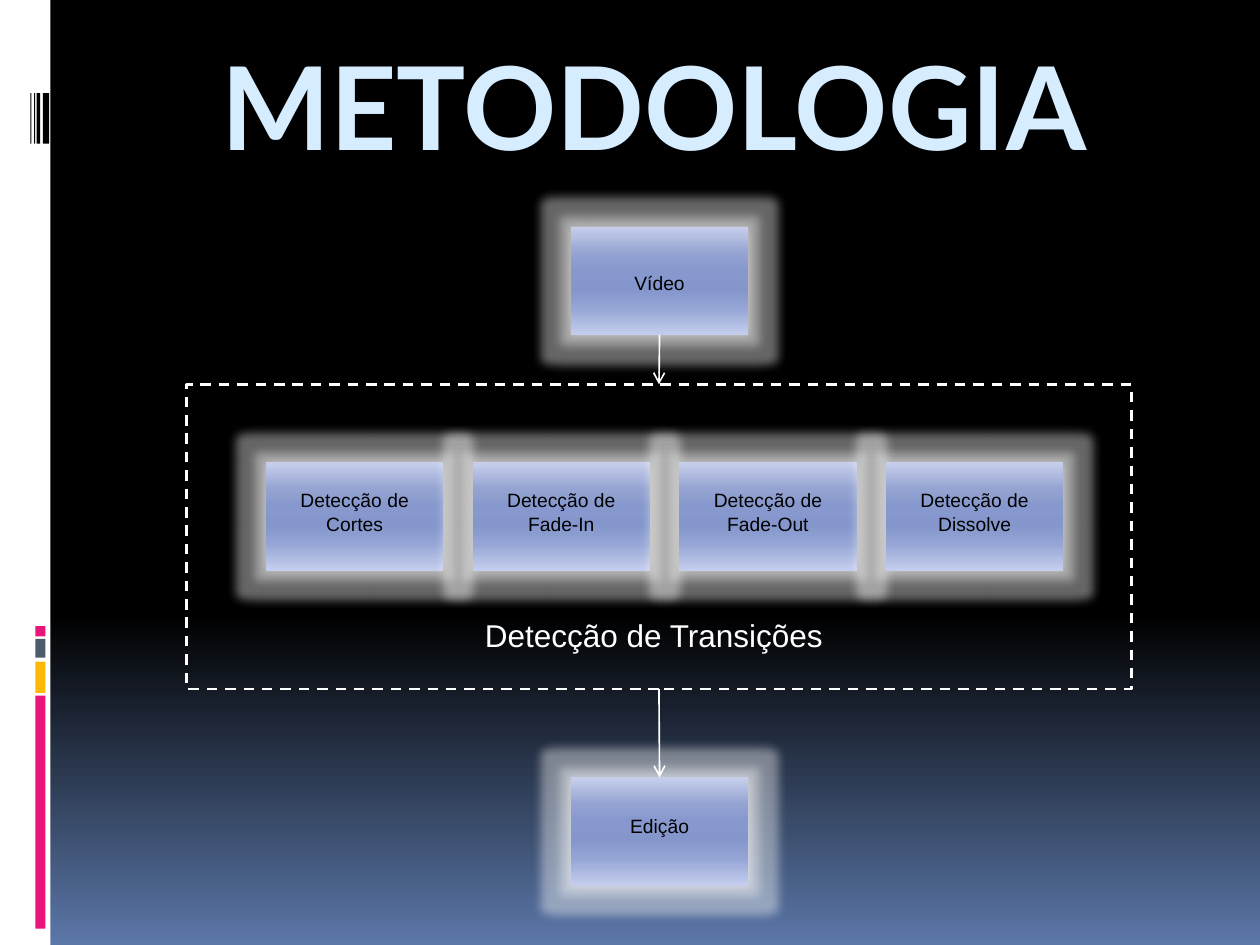
from pptx import Presentation
from pptx.dml.color import RGBColor
from pptx.enum.dml import MSO_LINE
from pptx.enum.shapes import MSO_CONNECTOR, MSO_SHAPE
from pptx.enum.text import MSO_ANCHOR, PP_ALIGN
from pptx.oxml import parse_xml
from pptx.oxml.ns import nsdecls, qn
from pptx.util import Inches, Pt

RECT = MSO_SHAPE.RECTANGLE
LINE = MSO_CONNECTOR.STRAIGHT
CENTER = PP_ALIGN.CENTER
TOP = MSO_ANCHOR.TOP
DASH = MSO_LINE.DASH

SKY = [(0, "000000"), (65, "000000"), (100, "5B77A8")]
BLUE = [(0, "C7CFEC"), (25, "94A3D1"), (40, "8698CD"), (50, "8496CC"),
        (60, "8698CD"), (75, "95A5D5"), (100, "C5CEED")]
DECOR = [
    (0, 0, 0.4, 7.5, "FFFFFF"),
    (0.28, 5.52, 0.08, 1.85, "EA157A"),
    (0.28, 5.25, 0.08, 0.25, "FEB80A"),
    (0.28, 5.07, 0.08, 0.15, "4E5B6F"),
    (0.28, 4.97, 0.08, 0.08, "EA157A"),
    (0.34, 0.74, 0.05, 0.4, "000000"),
    (0.29, 0.74, 0.03, 0.4, "000000"),
    (0.27, 0.74, 0.01, 0.4, "000000"),
    (0.24, 0.74, 0.01, 0.4, "000000"),
]
STEPS = ["Cortes", "Fade-In", "Fade-Out", "Dissolve"]
BOX_W, BOX_H = 1.41, 0.86
MID_X = 4.53
ROW_X, ROW_Y, PITCH = 2.11, 3.67, 1.64


def color(code):
    return RGBColor.from_string(code)


def blend(fill, root, stops):
    fill.gradient()
    fill.gradient_angle = 270
    marks = "".join(f'<a:gs pos="{pos * 1000}"><a:srgbClr val="{code}"/></a:gs>'
                    for pos, code in stops)
    old = root.find(".//" + qn("a:gsLst"))
    old.getparent().replace(
        old, parse_xml(f'<a:gsLst {nsdecls("a")}>{marks}</a:gsLst>'))


def write(shape, text, size, font="Arial", code="000000", bold=False):
    frame = shape.text_frame
    frame.word_wrap = True
    frame.vertical_anchor = TOP
    para = frame.paragraphs[0]
    para.alignment = CENTER
    run = para.add_run()
    run.text = text
    run.font.size = Pt(size)
    run.font.name = font
    run.font.bold = bold
    run.font.color.rgb = color(code)


def rect(shapes, x, y, w, h, code=None):
    shape = shapes.add_shape(RECT, Inches(x), Inches(y), Inches(w), Inches(h))
    shape.shadow.inherit = False
    shape.line.fill.background()
    if code:
        shape.fill.solid()
        shape.fill.fore_color.rgb = color(code)
    else:
        shape.fill.background()
    return shape


def label(shapes, x, y, w, h, text, size, **style):
    box = shapes.add_textbox(Inches(x), Inches(y), Inches(w), Inches(h))
    write(box, text, size, **style)


def node(x, y, text, drop, high):
    group = slide.shapes.add_group_shape()
    box = rect(group.shapes, x, y, BOX_W, BOX_H)
    props = box.element.spPr
    blend(box.fill, props, BLUE)
    white = '<a:srgbClr val="FFFFFF"><a:alpha val="40000"/></a:srgbClr>'
    effects = props.find(qn("a:effectLst"))
    for head, tag in ((f'glow rad="{Inches(0.16)}"', "glow"),
                      (f'outerShdw blurRad="{Inches(0.07)}" dist="0" '
                       'algn="ctr" rotWithShape="0"', "outerShdw")):
        effects.append(parse_xml(
            f'<a:{head} {nsdecls("a")}>{white}</a:{tag}>'))
    label(group.shapes, x, y + drop, BOX_W, high, text, 11)
    return box


def arrow(start, end):
    link = slide.shapes.add_connector(LINE, 0, 0, 0, 0)
    link.begin_connect(start, 2)
    link.end_connect(end, 0)
    link.line.color.rgb = color("FFFFFF")
    link.line.width = Pt(0.94)
    link.line._get_or_add_ln().append(
        parse_xml(f'<a:tailEnd {nsdecls("a")} type="arrow"/>'))
    link.element.spPr.append(parse_xml(f'<a:effectLst {nsdecls("a")}/>'))


deck = Presentation()
deck.slide_width, deck.slide_height = Inches(10), Inches(7.5)
slide = deck.slides.add_slide(deck.slide_layouts[5])
blend(slide.background.fill, slide.element, SKY)

for x, y, w, h, code in DECOR:
    rect(slide.shapes, x, y, w, h, code)

title = slide.shapes.title
title.left, title.top = Inches(0.94), Inches(0.23)
title.width, title.height = Inches(8.5), Inches(1)
write(title, "METODOLOGIA", 66, font="Lato", code="D6ECFF", bold=True)

for i, step in enumerate(STEPS):
    node(ROW_X + i * PITCH, ROW_Y, f"Detecção de {step}", 0.16, 0.47)
final = node(MID_X, 6.17, "Edição", 0.24, 0.29)
video = node(MID_X, 1.8, "Vídeo", 0.3, 0.29)

stage = rect(slide.shapes, 1.48, 3.05, 7.5, 2.42)
stage.line.color.rgb = color("FFFFFF")
stage.line.width = Pt(1.5)
stage.line.dash_style = DASH
arrow(stage, final)
arrow(video, stage)
label(slide.shapes, 2.34, 4.84, 5.7, 0.4, "Detecção de Transições", 18,
      code="FFFFFF")

deck.save("out.pptx")
